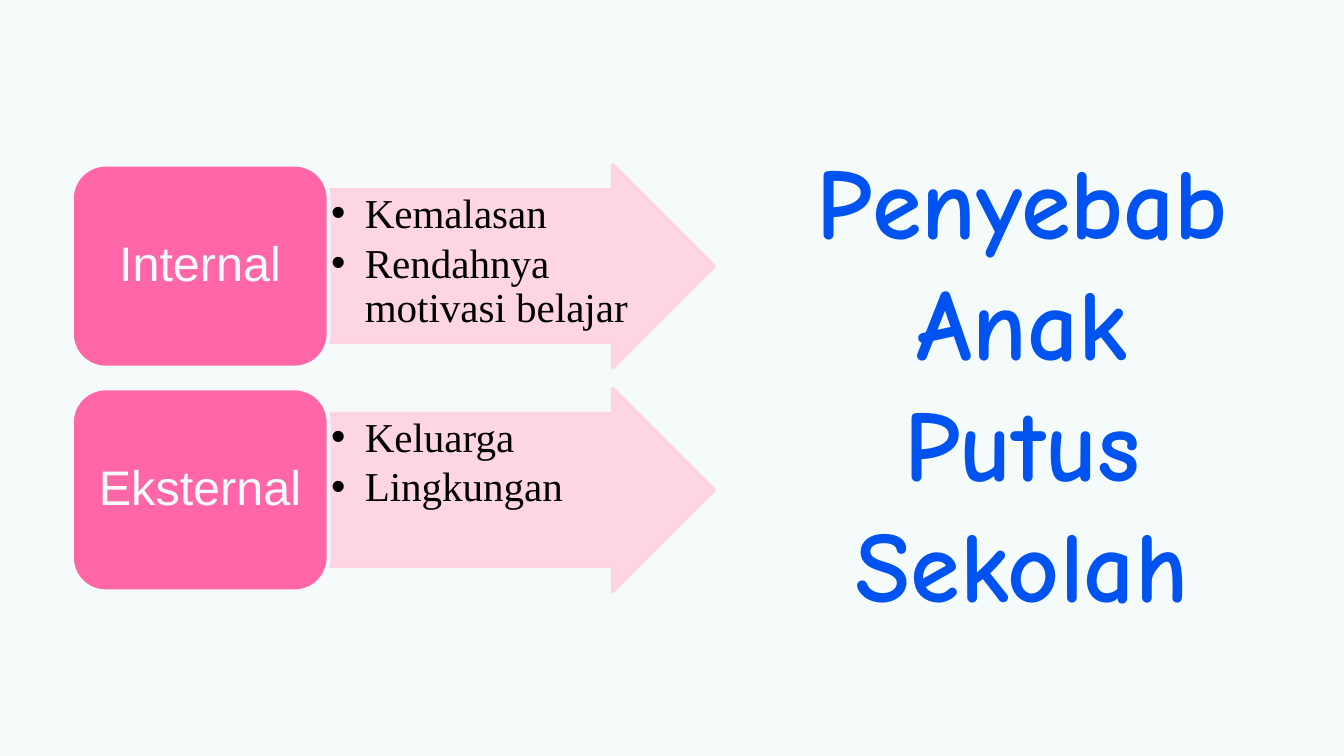
import pptx
import pptx.util
import pptx.dml.color
import pptx.enum.shapes
import pptx.enum.text
import pptx.oxml
import pptx.oxml.ns

PX = 4572
COLORS = {
    "background": "F5FBFB",
    "title": "0053F0",
    "label": "FF66A7",
    "arrow": "FFD3E1",
    "text": "000000",
}
CAUSES = [
    ("Internal", ["Kemalasan", "Rendahnya motivasi belajar"]),
    ("Eksternal", ["Keluarga", "Lingkungan"]),
]
TITLE_FONT = {"name": "Comic Neue", "size": pptx.util.Pt(54), "bold": True}
LABEL_FONT = {"name": "Arial", "size": pptx.util.Pt(26)}
ITEM_FONT = {"name": "Times New Roman", "size": pptx.util.Pt(22)}


def px(*lengths):
    """Turn px lengths into a list of EMU."""
    return [pptx.util.Emu(length * PX) for length in lengths]


def rgb(name):
    """Look up a named colour."""
    return pptx.dml.color.RGBColor.from_string(COLORS[name])


def apply_format(target, values):
    """Set each attribute of the target from a dict."""
    for name, value in values.items():
        setattr(target, name, value)


def set_frame(frame, insets, anchor):
    """Set the margins, wrapping and anchor of a text frame."""
    sides = ("margin_left", "margin_top", "margin_right", "margin_bottom")
    apply_format(frame, dict(zip(sides, px(*insets))))
    apply_format(frame, {
        "word_wrap": True,
        "auto_size": pptx.enum.text.MSO_AUTO_SIZE.NONE,
        "vertical_anchor": anchor,
    })


def write_para(para, text, font, color, alignment, spacing):
    """Write one formatted run into a paragraph."""
    apply_format(para, {"alignment": alignment, "line_spacing": spacing})
    span = para.add_run()
    span.text = text
    apply_format(span.font, font)
    span.font.color.rgb = rgb(color)


def add_bullet(para):
    """Give a paragraph a hanging round bullet."""
    properties = para._p.get_or_add_pPr()
    properties.set("marL", str(50 * PX))
    properties.set("indent", str(-50 * PX))
    namespace = pptx.oxml.ns.nsdecls("a")
    for markup in (
        f'<a:buClr {namespace}><a:srgbClr val="{COLORS["text"]}"/></a:buClr>',
        f'<a:buFont {namespace} typeface="Arial"/>',
        f'<a:buChar {namespace} char="•"/>',
    ):
        properties.append(pptx.oxml.parse_xml(markup))


def add_block(shapes, kind, box, fill, line):
    """Add a filled and outlined preset shape."""
    block = shapes.add_shape(kind, *px(*box))
    block.shadow.inherit = False
    block.fill.solid()
    block.fill.fore_color.rgb = rgb(fill)
    block.line.color.rgb = rgb(line)
    block.line.width = pptx.util.Pt(2)
    return block


def set_opacity(block, percent):
    """Make the fill and line of a block partly transparent."""
    namespace = pptx.oxml.ns.nsdecls("a")
    for color in block._element.spPr.iter(pptx.oxml.ns.qn("a:srgbClr")):
        color.append(pptx.oxml.parse_xml(
            f'<a:alpha {namespace} val="{percent * 1000}"/>'))


def add_arrow(shapes, box, items):
    """Add an arrow with a bulleted list along its shaft."""
    left, top, width, height = box
    arrow = add_block(shapes, pptx.enum.shapes.MSO_SHAPE.RIGHT_ARROW, box,
                      "arrow", "arrow")
    arrow.adjustments[0] = 0.75
    arrow.adjustments[1] = 0.5
    set_opacity(arrow, 90)

    edge = round(height / 8)
    frame = shapes.add_textbox(*px(
        left, top + edge, width - 3 * edge, height - 2 * edge)).text_frame
    set_frame(frame, (4, 4, 4, 4), pptx.enum.text.MSO_ANCHOR.TOP)
    for index, item in enumerate(items):
        para = frame.add_paragraph() if index else frame.paragraphs[0]
        write_para(para, item, ITEM_FONT, "text",
                   pptx.enum.text.PP_ALIGN.LEFT, 0.9)
        para.level = 1
        para.space_after = pptx.util.Pt(3)
        add_bullet(para)


def add_label(shapes, box, label):
    """Add a rounded block with a centred label."""
    left, top, width, height = box
    add_block(shapes, pptx.enum.shapes.MSO_SHAPE.ROUNDED_RECTANGLE, box,
              "label", "background")
    edge = 15
    frame = shapes.add_textbox(*px(
        left + edge, top + edge, width - 2 * edge, height - 2 * edge)
    ).text_frame
    set_frame(frame, (22, 10, 22, 10), pptx.enum.text.MSO_ANCHOR.MIDDLE)
    write_para(frame.paragraphs[0], label, LABEL_FONT, "background",
               pptx.enum.text.PP_ALIGN.CENTER, 0.9)


def add_causes(page, box):
    """Stack the causes in a group, each a label and its arrow."""
    left, top, width, height = box
    gap = 31
    row_height = (height - gap * (len(CAUSES) - 1)) // len(CAUSES)
    label_width = round(width * 0.4)
    shapes = page.shapes.add_group_shape().shapes
    for index, (label, items) in enumerate(CAUSES):
        row_top = top + index * (row_height + gap)
        add_arrow(shapes, (left + label_width, row_top,
                           width - label_width, row_height), items)
        add_label(shapes, (left, row_top, label_width, row_height), label)


def place_title(page, box):
    """Move and format the title placeholder."""
    title = page.shapes.title
    places = ("left", "top", "width", "height")
    apply_format(title, dict(zip(places, px(*box))))
    set_frame(title.text_frame, (20, 20, 20, 20),
              pptx.enum.text.MSO_ANCHOR.TOP)
    write_para(title.text_frame.paragraphs[0], "Penyebab Anak Putus Sekolah",
               TITLE_FONT, "title", pptx.enum.text.PP_ALIGN.CENTER, 1.0)


def main():
    """Build and save the deck."""
    deck = pptx.Presentation()
    deck.slide_width, deck.slide_height = px(2000, 1125)
    page = deck.slides.add_slide(deck.slide_layouts[5])
    page.background.fill.solid()
    page.background.fill.fore_color.rgb = rgb("background")
    place_title(page, (1150, 186, 742, 752))
    add_causes(page, (107, 245, 956, 635))
    deck.save("out.pptx")


if __name__ == "__main__":
    main()
